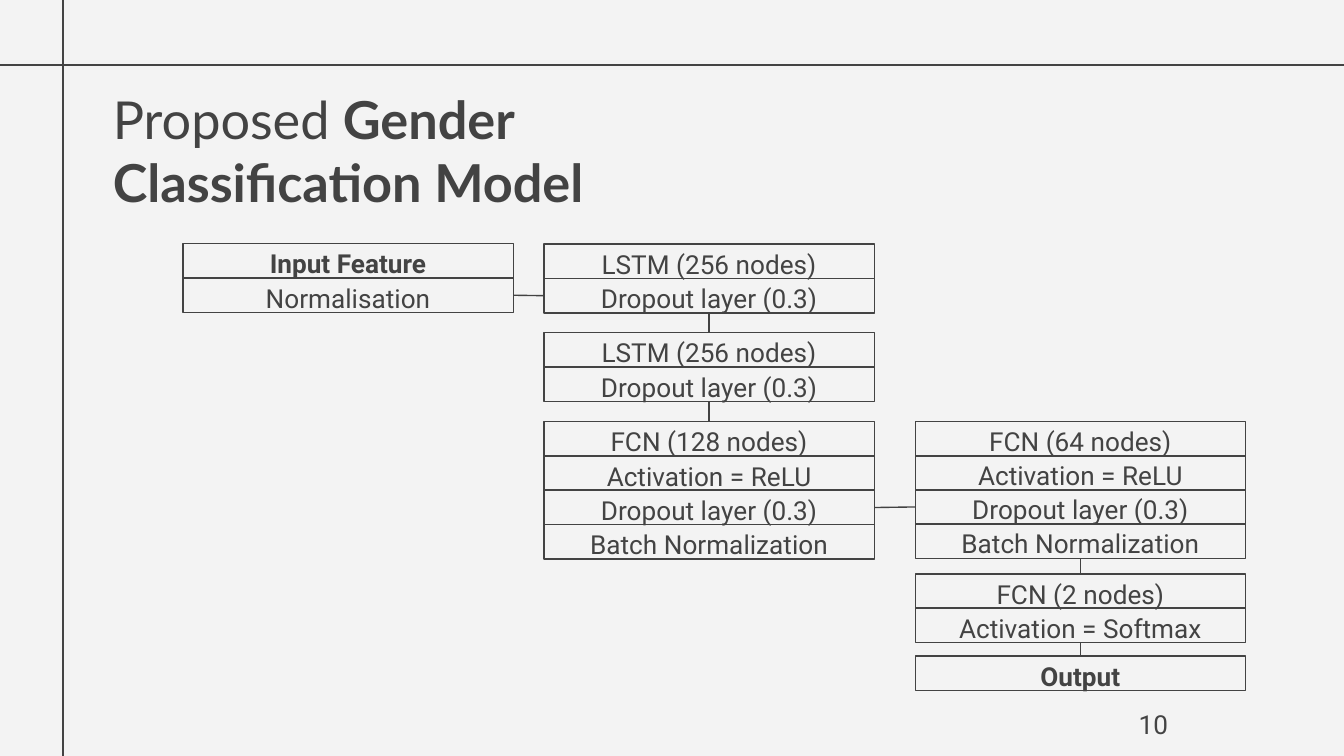
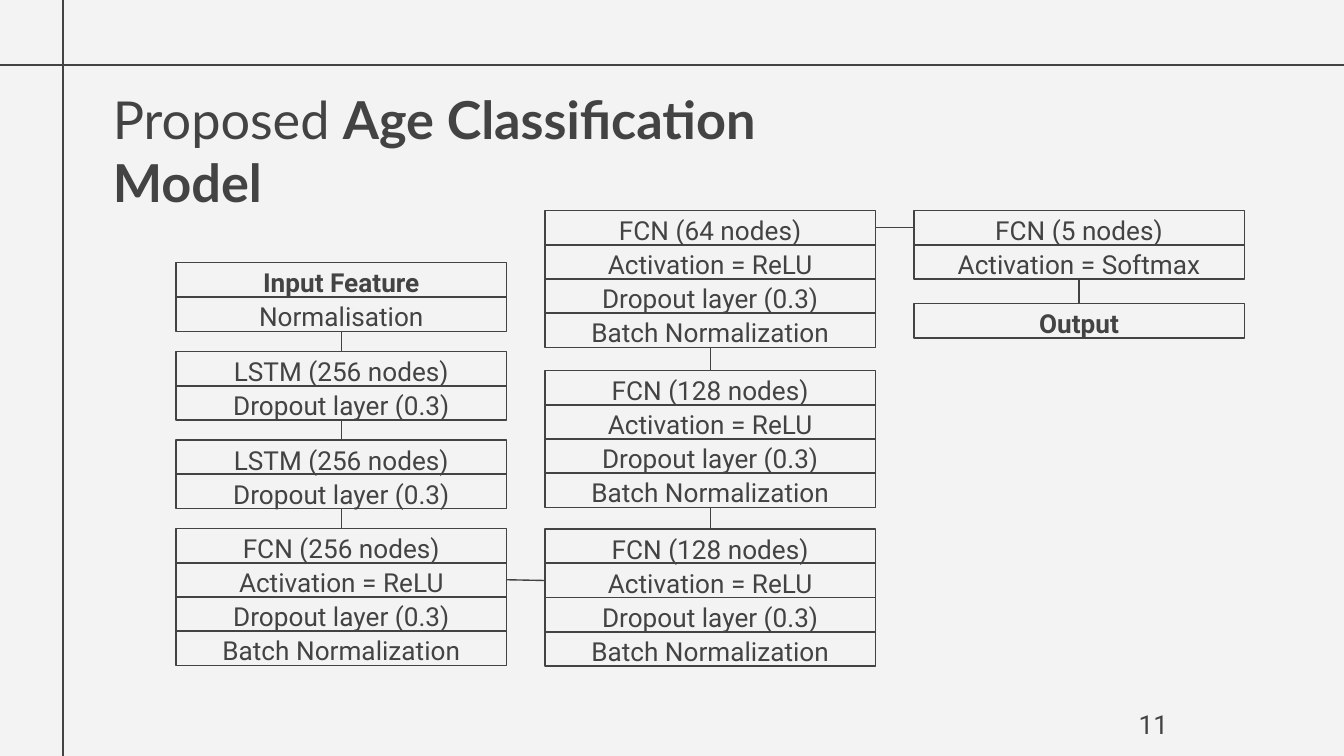
from lxml.etree import SubElement
from pptx import Presentation
from pptx.dml.color import RGBColor
from pptx.enum.shapes import MSO_CONNECTOR, MSO_SHAPE
from pptx.enum.text import MSO_ANCHOR, MSO_AUTO_SIZE, PP_ALIGN
from pptx.oxml.ns import qn
from pptx.util import Pt

COLORS = {"paper": "F3F3F3", "ink": "434343", "link": "424242"}
WIDTH, HEIGHT = 720, 405
BOX_W, BOX_H, STEP = 177, 18.6, 18.3
INSET = 7.2
TOP, LEFT, BOTTOM, RIGHT = range(4)

INPUT = ["Input Feature", "Normalisation"]
OUTPUT = ["Output"]
BOLD = {"Input Feature", "Output"}
DROP = "Dropout layer (0.3)"
LSTM = ["LSTM (256 nodes)", DROP]


def dense(nodes):
    return [f"FCN ({nodes} nodes)", "Activation = ReLU", DROP, "Batch Normalization"]


def final(nodes):
    return [f"FCN ({nodes} nodes)", "Activation = Softmax"]


# Blocks follow the flow: (column, top, rows, row joined to the next column)
MODELS = [
    {
        "page": 10,
        "title": ("Proposed ", "Gender Classification Model"),
        "frame": (53.3, 39.6, 348.5, 77),
        "columns": (98, 291.4, 490.3),
        "blocks": [
            (0, 130.6, INPUT, 1),
            (1, 130.8, LSTM, None),
            (1, 178.3, LSTM, None),
            (1, 226, dense(128), 2),
            (2, 225.7, dense(64), None),
            (2, 307.5, final(2), None),
            (2, 351.4, OUTPUT, None),
        ],
    },
    {
        "page": 11,
        "title": ("Proposed ", "Age Classification Model"),
        "frame": (53.3, 39.6, 404, 114.5),
        "columns": (94.4, 292, 489.6),
        "blocks": [
            (0, 140.6, INPUT, None),
            (0, 188.2, LSTM, None),
            (0, 235.7, LSTM, None),
            (0, 283, dense(256), 1),
            (1, 283.4, dense(128), None),
            (1, 198.4, dense(128), None),
            (1, 112.7, dense(64), 0),
            (2, 112.7, final(5), None),
            (2, 162.6, OUTPUT, None),
        ],
    },
]


def color(name):
    return RGBColor.from_string(COLORS[name])


def style(para, face, size):
    font = para.font
    font.name, font.size = face, Pt(size)
    font.color.rgb = color("ink")


def pad(frame):
    frame.margin_left = frame.margin_right = Pt(INSET)
    frame.margin_top = frame.margin_bottom = Pt(INSET)
    frame.word_wrap = True
    frame.auto_size = MSO_AUTO_SIZE.NONE


def add_line(slide, tone, x1=0, y1=0, x2=0, y2=0):
    line = slide.shapes.add_connector(
        MSO_CONNECTOR.STRAIGHT, Pt(x1), Pt(y1), Pt(x2), Pt(y2))
    line.line.color.rgb = color(tone)
    line.line.width = Pt(0.75)
    SubElement(line._element.spPr, qn("a:effectLst"))
    return line


def add_title(slide, parts, frame):
    title = slide.shapes.title
    title.left, title.top, title.width, title.height = map(Pt, frame)
    text = title.text_frame
    pad(text)
    text.vertical_anchor = MSO_ANCHOR.TOP
    para = text.paragraphs[0]
    para.alignment = PP_ALIGN.LEFT
    style(para, "Lato", 28)
    for part, bold in zip(parts, (False, True)):
        run = para.add_run()
        run.text = part
        run.font.bold = bold


def add_page(slide, number):
    box = slide.shapes.add_textbox(Pt(589.7), Pt(372.2), Pt(43.2), Pt(31))
    pad(box.text_frame)
    para = box.text_frame.paragraphs[0]
    para.text = str(number)
    para.alignment = PP_ALIGN.RIGHT
    style(para, "Roboto", 14)


def add_box(slide, label, x, y):
    box = slide.shapes.add_shape(
        MSO_SHAPE.RECTANGLE, Pt(x), Pt(y), Pt(BOX_W), Pt(BOX_H))
    box.shadow.inherit = False
    box.fill.background()
    box.line.color.rgb = color("ink")
    box.line.width = Pt(0.75)
    pad(box.text_frame)
    box.text_frame.vertical_anchor = MSO_ANCHOR.MIDDLE
    para = box.text_frame.paragraphs[0]
    para.text = label
    para.alignment = PP_ALIGN.CENTER
    para.line_spacing = 1.15
    style(para, "Roboto", 14)
    para.font.bold = label in BOLD
    return box


def join(slide, start, side, end, other):
    line = add_line(slide, "link")
    line.begin_connect(start, side)
    line.end_connect(end, other)


def add_model(slide, columns, blocks):
    """Stack the rows of each block, then join every block to the next."""
    stacks = [
        [add_box(slide, label, columns[col], top + i * STEP)
         for i, label in enumerate(rows)]
        for col, top, rows, _ in blocks
    ]
    for block, after, stack, following in zip(blocks, blocks[1:], stacks, stacks[1:]):
        row = block[3]
        if row is not None:
            join(slide, stack[row], RIGHT, following[row], LEFT)
        elif block[1] < after[1]:
            join(slide, stack[-1], BOTTOM, following[0], TOP)
        else:
            join(slide, stack[0], TOP, following[-1], BOTTOM)


def main():
    deck = Presentation()
    deck.slide_width, deck.slide_height = Pt(WIDTH), Pt(HEIGHT)
    fill = deck.slide_master.background.fill
    fill.solid()
    fill.fore_color.rgb = color("paper")
    for model in MODELS:
        slide = deck.slides.add_slide(deck.slide_layouts[5])
        add_line(slide, "ink", 0, 34.8, WIDTH, 34.8)
        add_line(slide, "ink", 33.8, 0, 33.8, HEIGHT)
        add_title(slide, model["title"], model["frame"])
        add_model(slide, model["columns"], model["blocks"])
        add_page(slide, model["page"])
    deck.save("out.pptx")


if __name__ == "__main__":
    main()
